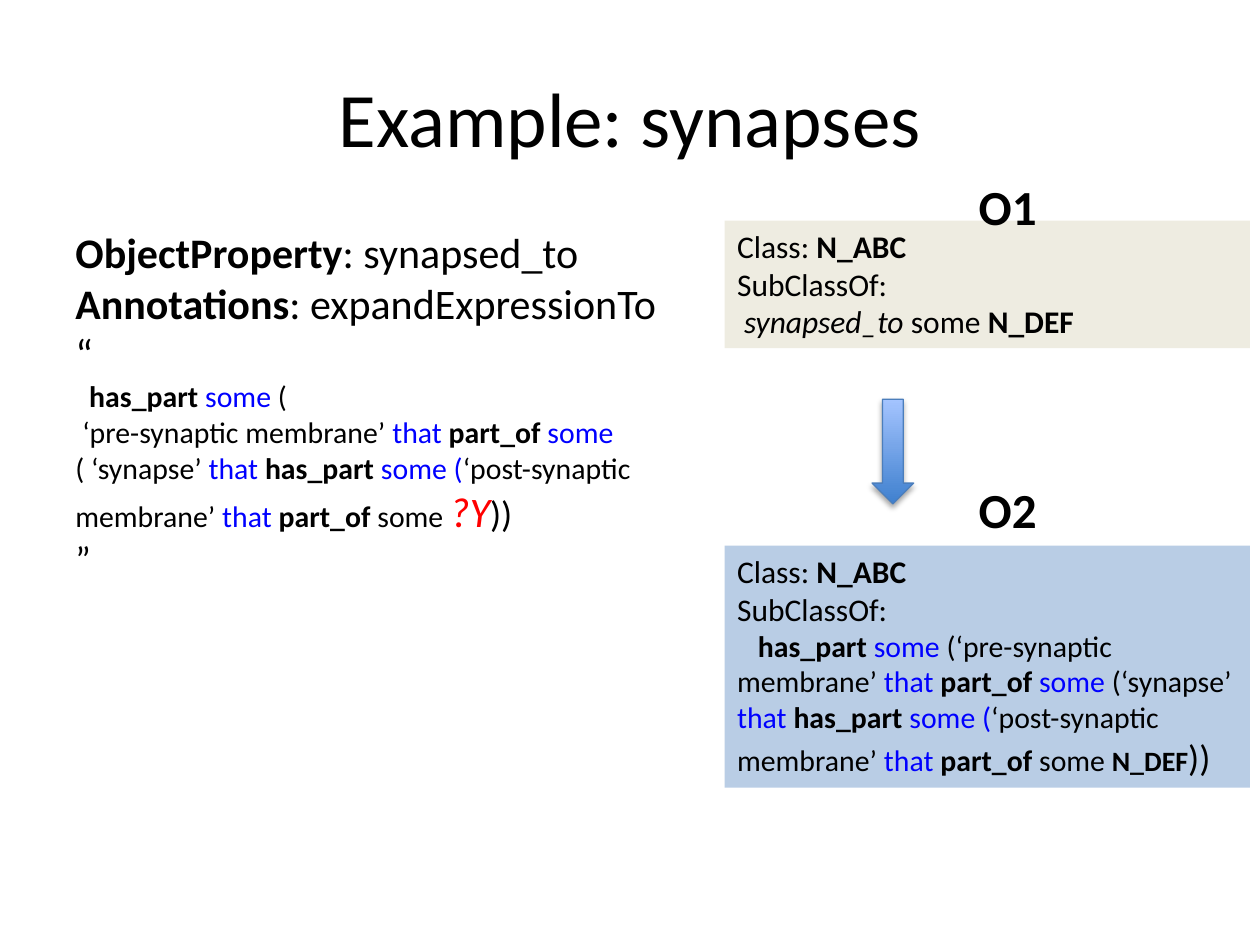
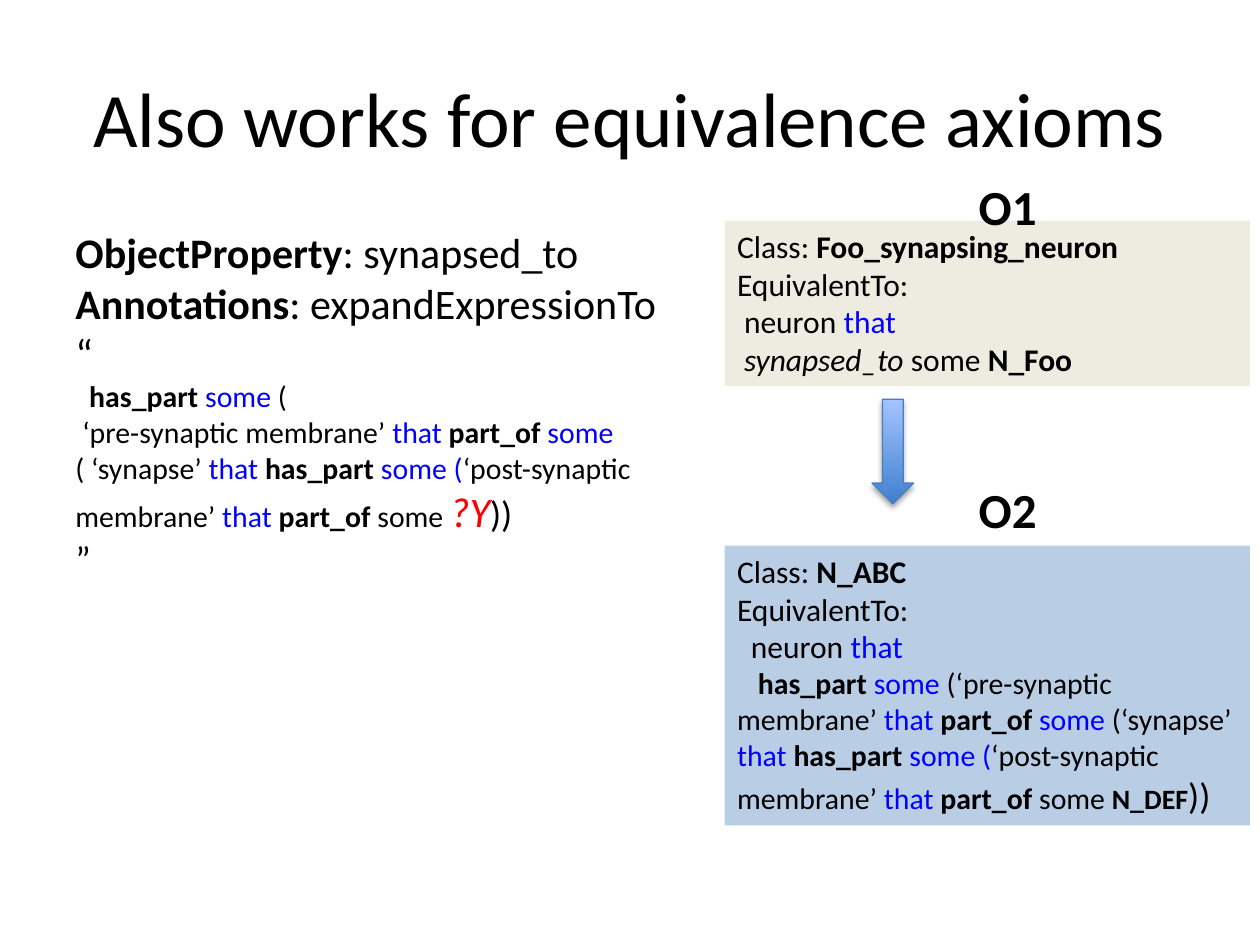
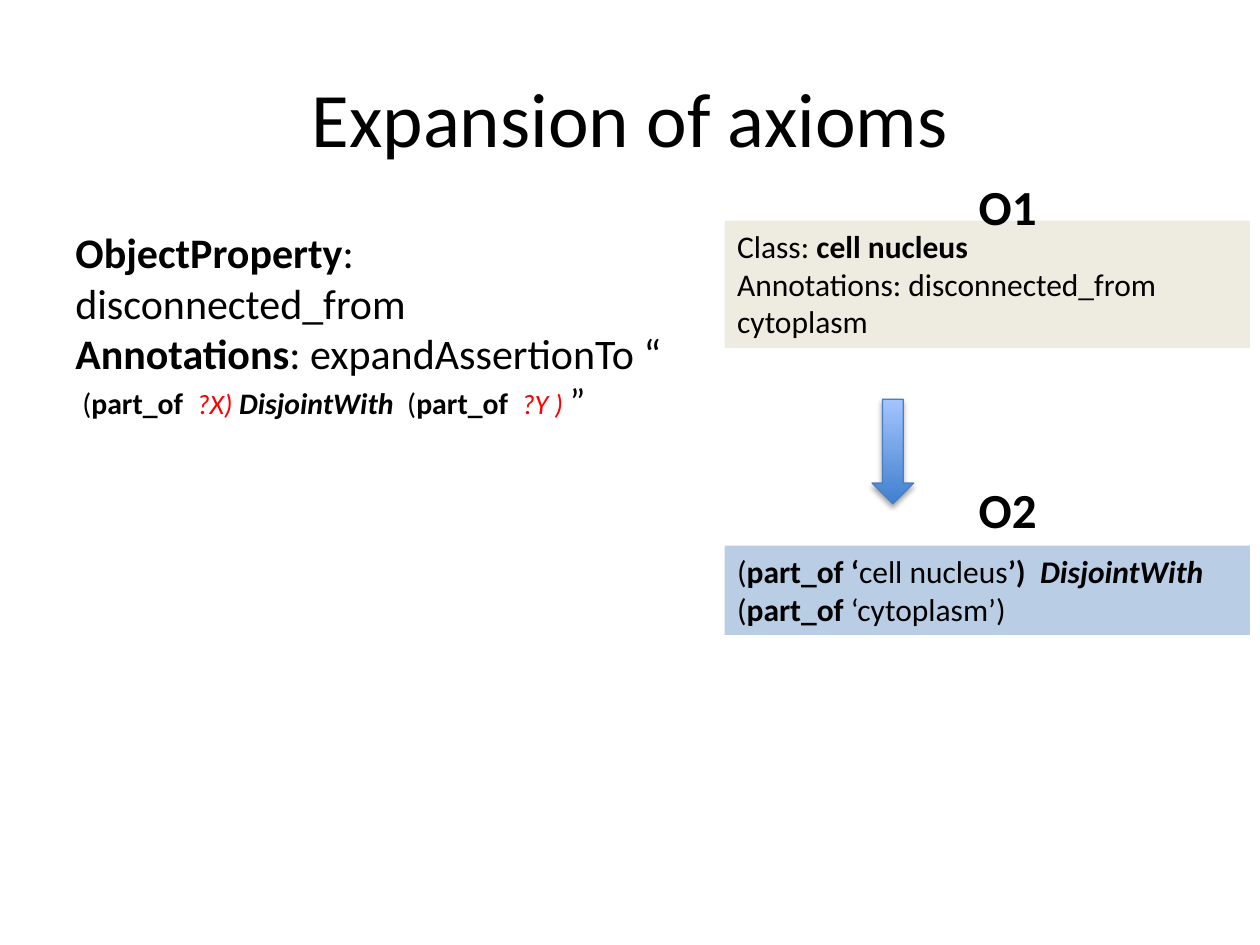
"""Builds three slides on expanding shorthand ontology properties into full axioms."""
import pptx
import pptx.dml.color
import pptx.enum.dml
import pptx.enum.shapes
import pptx.enum.text
import pptx.oxml
import pptx.oxml.ns
import pptx.util

Cm = pptx.util.Cm
Pt = pptx.util.Pt

FONT = "Calibri"
BLACK, KEYWORD, VARIABLE = "000000", "0000FF", "FF0000"
SAND, SKY = "EEECE1", "B9CDE5"
ARROW_DARK, ARROW_LIGHT, ARROW_LINE = "3F80CE", "A4C4FF", "4B7EBC"
INDENT_STEP = 0.14

# style name: (bold, italic, colour)
STYLES = {
    "plain": (False, False, BLACK),
    "bold": (True, False, BLACK),
    "italic": (False, True, BLACK),
    "strong": (True, True, BLACK),
    "keyword": (False, False, KEYWORD),
    "variable": (False, True, VARIABLE),
}

# A run is (text, style) or (text, style, size); a paragraph is (size, indent steps, runs).
PRE_SYNAPTIC = [
    ("‘pre-synaptic membrane’ ", "plain"), ("that ", "keyword"),
    ("part_of ", "bold"), ("some ", "keyword"),
]
POST_SYNAPTIC = [
    ("that ", "keyword"), ("has_part ", "bold"), ("some (", "keyword"),
    ("‘post-synaptic membrane’ ", "plain"), ("that ", "keyword"),
    ("part_of", "bold"), (" some ", "plain"),
]
HAS_PART = [("has_part ", "bold"), ("some ", "keyword"), ("(", "plain")]

SYNAPSE_RULE = [
    (24, 0, [("ObjectProperty", "bold"), (": synapsed_to", "plain")]),
    (24, 0, [("Annotations", "bold"), (": expandExpressionTo “", "plain")]),
    (17, 2, HAS_PART),
    (17, 1, PRE_SYNAPTIC + [("( ‘synapse’ ", "plain")] + POST_SYNAPTIC
        + [("?Y", "variable", 24), ("))", "plain", 21)]),
    (21, 0, [("”", "plain")]),
]
DISJOINT_RULE = [
    (24, 0, [("ObjectProperty", "bold"), (": disconnected_from", "plain")]),
    (24, 0, [("Annotations", "bold"), (": expandAssertionTo “", "plain")]),
    (17, 1, [
        ("(", "plain"), ("part_of  ", "bold"), ("?X) ", "variable", 16),
        ("DisjointWith ", "strong"), (" (", "plain"), ("part_of  ", "bold"),
        ("?Y )", "variable", 16), (" ", "strong"), ("”", "plain", 21)]),
]
CLASS_ABC = (18, 0, [("Class: ", "plain"), ("N_ABC", "bold")])
SUBCLASS = (18, 0, [("SubClassOf:", "plain")])
EQUIVALENT = (18, 0, [("EquivalentTo:", "plain")])
NEURON_THAT = [("neuron ", "plain"), ("that", "keyword")]
SYNAPSED_SOME = [("synapsed_to", "italic"), (" some ", "plain")]
EXPANDED = (17, 3, HAS_PART + PRE_SYNAPTIC + [("(‘synapse’ ", "plain")] + POST_SYNAPTIC
            + [("N_DEF", "bold", 16), ("))", "plain", 21)])

SLIDES = [
    {
        "title": "Example: synapses",
        "rule": (7.44, SYNAPSE_RULE),
        "before": (2.57, [CLASS_ABC, SUBCLASS,
                          (18, 1, SYNAPSED_SOME + [("N_DEF", "bold")])]),
        "after": (4.88, [CLASS_ABC, SUBCLASS, EXPANDED]),
    },
    {
        "title": "Also works for equivalence axioms",
        "rule": (7.44, SYNAPSE_RULE),
        "before": (3.33, [
            (18, 0, [("Class: ", "plain"), ("Foo_synapsing_neuron", "bold")]),
            EQUIVALENT,
            (18, 1, NEURON_THAT),
            (18, 1, SYNAPSED_SOME + [("N_Foo", "bold")])]),
        "after": (5.64, [CLASS_ABC, EQUIVALENT, (18, 2, NEURON_THAT), EXPANDED]),
    },
    {
        "title": "Expansion of axioms",
        "rule": (4.24, DISJOINT_RULE),
        "before": (2.57, [
            (18, 0, [("Class: ", "plain"), ("cell nucleus", "bold")]),
            (18, 0, [("Annotations: disconnected_from cytoplasm", "plain")])]),
        "after": (1.8, [
            (18, 0, [
                ("(", "plain"), ("part_of ‘", "bold"), ("cell nucleus", "plain"),
                ("’)  ", "bold"), ("DisjointWith ", "strong"), (" (", "plain"),
                ("part_of", "bold"), (" ‘cytoplasm’)", "plain")])]),
    },
]

TOP = 4.45
AXIOM_LEFT, AXIOM_WIDTH = 14.61, 10.59
AFTER_TOP = 11
LABELS = [("O1", 3.43), ("O2", 9.55)]


def colour(value):
    return pptx.dml.color.RGBColor.from_string(value)


def add_text(page, left, top, width, height, paragraphs, fill=None, wrap=True):
    box = page.shapes.add_textbox(Cm(left), Cm(top), Cm(width), Cm(height))
    if fill:
        box.fill.solid()
        box.fill.fore_color.rgb = colour(fill)
    frame = box.text_frame
    frame.word_wrap = wrap
    frame.auto_size = pptx.enum.text.MSO_AUTO_SIZE.SHAPE_TO_FIT_TEXT
    for index, (size, steps, runs) in enumerate(paragraphs):
        para = frame.add_paragraph() if index else frame.paragraphs[0]
        if steps:
            para._p.get_or_add_pPr().set("indent", str(Cm(steps * INDENT_STEP)))
        for text, style, *own_size in runs:
            span = para.add_run()
            span.text = text
            font = span.font
            font.name = FONT
            font.size = Pt(own_size[0] if own_size else size)
            font.bold, font.italic, shade = STYLES[style]
            font.color.rgb = colour(shade)
    return box


def add_title(page, title):
    box = add_text(page, 1.27, 0.76, 22.86, 3.18, [(44, 0, [(title, "plain")])])
    frame = box.text_frame
    frame.auto_size = pptx.enum.text.MSO_AUTO_SIZE.NONE
    frame.vertical_anchor = pptx.enum.text.MSO_ANCHOR.MIDDLE
    frame.paragraphs[0].alignment = pptx.enum.text.PP_ALIGN.CENTER


def add_expansion_arrow(page):
    arrow = page.shapes.add_shape(
        pptx.enum.shapes.MSO_SHAPE.DOWN_ARROW, Cm(17.58), Cm(8.05), Cm(0.84), Cm(2.11))
    arrow.fill.gradient()
    arrow.fill.gradient_angle = 90
    for stop, shade in zip(arrow.fill.gradient_stops, (ARROW_DARK, ARROW_LIGHT)):
        stop.color.rgb = colour(shade)
    arrow.line.color.rgb = colour(ARROW_LINE)
    arrow.line.width = Pt(0.75)
    arrow.shadow.inherit = False
    effects = arrow._element.spPr.find(pptx.oxml.ns.qn("a:effectLst"))
    effects.append(pptx.oxml.parse_xml(
        f'<a:outerShdw {pptx.oxml.ns.nsdecls("a")} blurRad="{Pt(3.1)}" dist="{Pt(1.8)}" '
        f'dir="5400000" rotWithShape="0"><a:srgbClr val="{BLACK}">'
        '<a:alpha val="35000"/></a:srgbClr></a:outerShdw>'))


def build_page(deck, content):
    page = deck.slides.add_slide(deck.slide_layouts[6])
    add_title(page, content["title"])
    rule_height, rule = content["rule"]
    add_text(page, 1.27, TOP, 12.7, rule_height, rule)
    for key, top, fill in (("before", TOP, SAND), ("after", AFTER_TOP, SKY)):
        height, axiom = content[key]
        add_text(page, AXIOM_LEFT, top, AXIOM_WIDTH, height, axiom, fill)
    add_expansion_arrow(page)
    for label, top in LABELS:
        add_text(page, 19.48, top, 1.7, 1.45, [(28, 0, [(label, "bold")])], wrap=False)


def main():
    deck = pptx.Presentation()
    deck.slide_width, deck.slide_height = Cm(25.4), Cm(19.05)
    for content in SLIDES:
        build_page(deck, content)
    deck.save("out.pptx")


if __name__ == "__main__":
    main()
